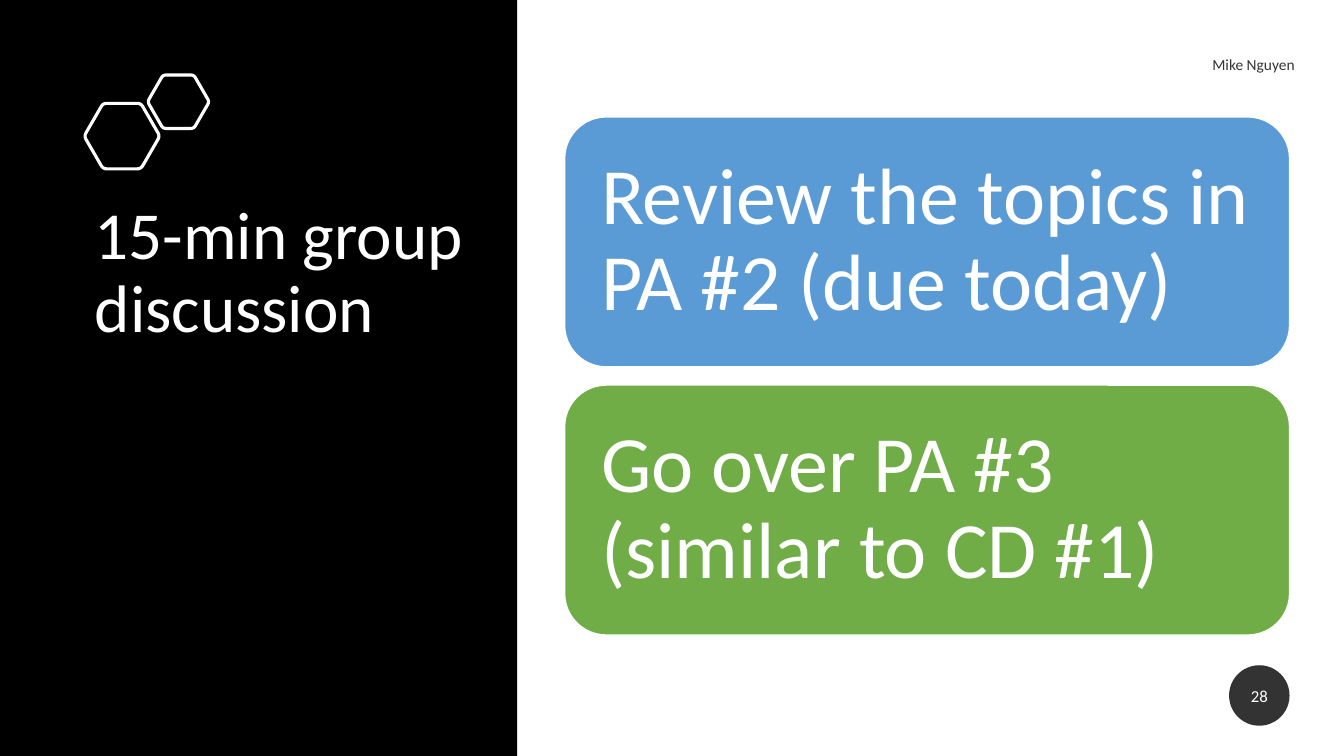
from math import cos, pi, sin, sqrt

from pptx import Presentation
from pptx.dml.color import RGBColor
from pptx.enum.shapes import MSO_SHAPE
from pptx.enum.text import MSO_ANCHOR, PP_ALIGN
from pptx.util import Inches, Pt

BLACK = RGBColor(0x00, 0x00, 0x00)
WHITE = RGBColor(0xFF, 0xFF, 0xFF)
CHARCOAL = RGBColor(0x33, 0x33, 0x33)
BLUE = RGBColor(0x5B, 0x9B, 0xD5)
GREEN = RGBColor(0x70, 0xAD, 0x47)
FONT = "Calibri"


def set_text(sp, text, size, color=WHITE, align=PP_ALIGN.LEFT,
             anchor=MSO_ANCHOR.MIDDLE, spacing=1.0, after=0,
             inset_x=0.1, inset_y=0.05):
    tf = sp.text_frame
    tf.word_wrap = True
    tf.vertical_anchor = anchor
    tf.margin_left = tf.margin_right = Inches(inset_x)
    tf.margin_top = tf.margin_bottom = Inches(inset_y)
    p = tf.paragraphs[0]
    p.alignment = align
    p.line_spacing = spacing
    p.space_after = Pt(after)
    r = p.add_run()
    r.text = text
    r.font.name = FONT
    r.font.size = Pt(size)
    r.font.color.rgb = color


def add_filled(s, kind, x, y, w, h, fill, line=None):
    sp = s.shapes.add_shape(kind, Inches(x), Inches(y), Inches(w), Inches(h))
    sp.shadow.inherit = False
    sp.fill.solid()
    sp.fill.fore_color.rgb = fill
    if line is None:
        sp.line.fill.background()
    else:
        sp.line.color.rgb = line
        sp.line.width = Pt(1)
    return sp


def add_hexagon(s, cx, cy, height, cut=0.1, steps=6):
    radius = height / sqrt(3)
    corners = [(cx + radius * cos(k * pi / 3), cy + radius * sin(k * pi / 3))
               for k in range(6)]
    points = []
    for k, (x, y) in enumerate(corners):
        (px, py), (nx, ny) = corners[k - 1], corners[(k + 1) % 6]
        for i in range(steps + 1):
            t = i / steps
            a, b = cut * (1 - t) ** 2, cut * t ** 2
            points.append((Inches(x + a * (px - x) + b * (nx - x)),
                           Inches(y + a * (py - y) + b * (ny - y))))
    fb = s.shapes.build_freeform(*points[0])
    fb.add_line_segments(points[1:], close=True)
    sp = fb.convert_to_shape()
    sp.shadow.inherit = False
    sp.fill.background()
    sp.line.color.rgb = WHITE
    sp.line.width = Pt(2.25)


def add_title_panel(s, x, y, w, h, text):
    panel = add_filled(s, MSO_SHAPE.RECTANGLE, x, y, w, h, BLACK)
    title = s.shapes.title
    title.element.addprevious(panel.element)
    title.left, title.top = Inches(x + 0.84), Inches(y + 1.95)
    title.width, title.height = Inches(3.92), Inches(3.5)
    set_text(title, text, 48, anchor=MSO_ANCHOR.TOP, spacing=0.9)
    add_hexagon(s, x + 1.21, y + 1.35, 0.65)
    add_hexagon(s, x + 1.77, y + 1.01, 0.53)


def add_cards(s, x, y, w, h, cards, gap=0.18):
    card_h = (h - gap * (len(cards) - 1)) / len(cards)
    for i, (text, fill) in enumerate(cards):
        card = add_filled(s, MSO_SHAPE.ROUNDED_RECTANGLE, x,
                          y + i * (card_h + gap), w, card_h, fill, WHITE)
        set_text(card, text, 57, spacing=0.9, inset_x=0.24, inset_y=0.24)


def add_author(s, x, y, w, h, name):
    box = s.shapes.add_textbox(Inches(x), Inches(y), Inches(w), Inches(h))
    set_text(box, name, 11, CHARCOAL, PP_ALIGN.RIGHT, after=6)


def add_page_badge(s, x, y, size, number):
    badge = add_filled(s, MSO_SHAPE.OVAL, x, y, size, size, CHARCOAL)
    set_text(badge, number, 12, align=PP_ALIGN.CENTER, after=6, inset_x=0)


def main():
    prs = Presentation()
    prs.slide_width, prs.slide_height = Inches(13.33), Inches(7.5)
    s = prs.slides.add_slide(prs.slide_layouts[5])
    add_title_panel(s, 0, 0, 5.13, 7.5, "15-min group discussion")
    add_author(s, 7.72, 0.44, 5.22, 0.4, "Mike Nguyen")
    add_page_badge(s, 12.19, 6.6, 0.6, "28")
    add_cards(s, 5.6, 1.16, 7.19, 5.14, [
        ("Review the topics in PA #2 (due today)", BLUE),
        ("Go over PA #3 (similar to CD #1)", GREEN),
    ])
    prs.save("out.pptx")


if __name__ == "__main__":
    main()
